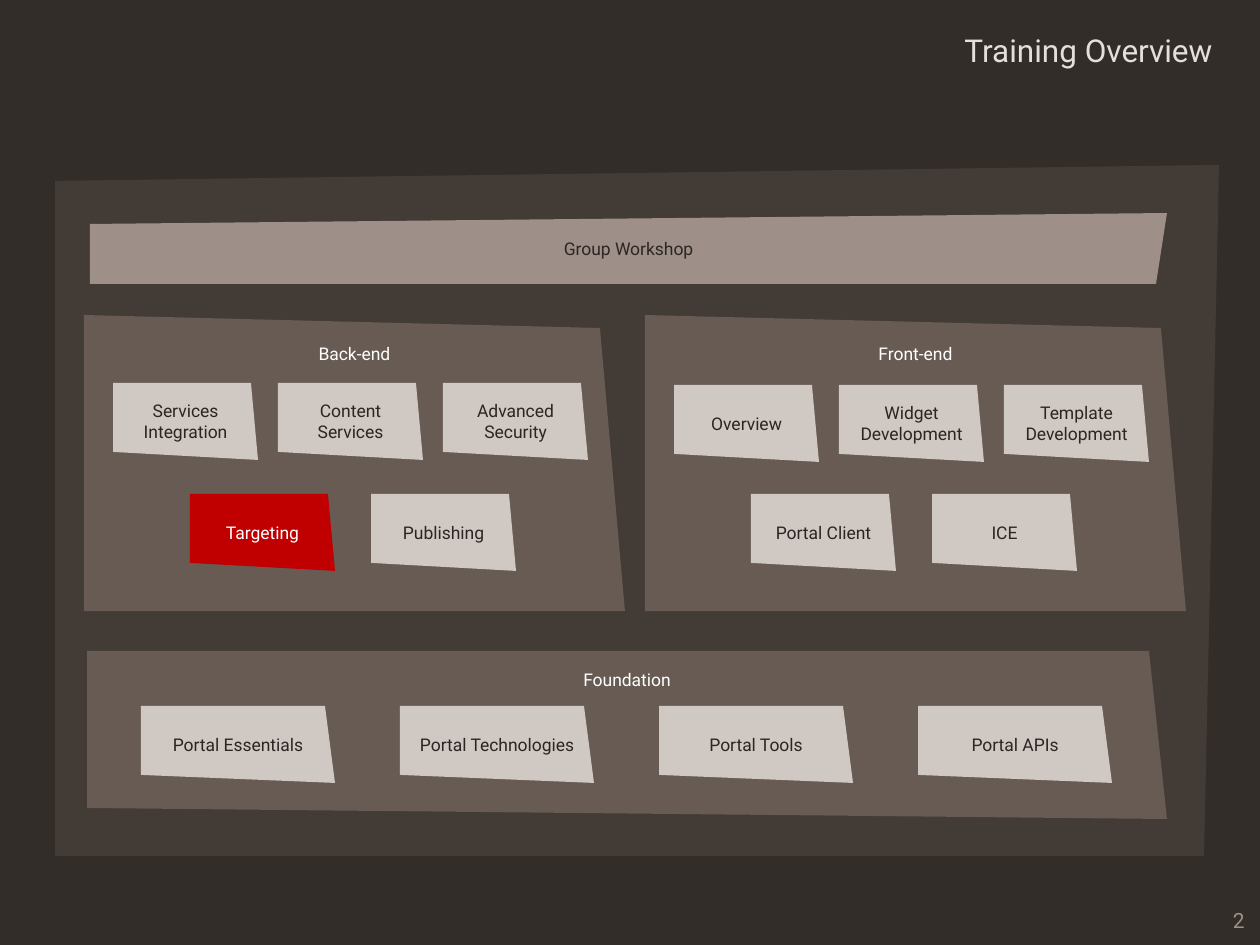
from pptx import Presentation
from pptx.dml.color import RGBColor
from pptx.enum.text import MSO_ANCHOR, PP_ALIGN
from pptx.util import Pt

PX = 914400 / 126
TOP, MIDDLE = MSO_ANCHOR.TOP, MSO_ANCHOR.MIDDLE
CENTER, RIGHT = PP_ALIGN.CENTER, PP_ALIGN.RIGHT
DARK, WHITE = "2B2623", "FFFFFF"
BROWN, LIGHT, RED = "675B53", "CFC8C3", "C00000"

prs = Presentation()
prs.slide_width, prs.slide_height = round(1260 * PX), round(945 * PX)
slide = prs.slides.add_slide(prs.slide_layouts[6])
back = slide.background.fill
back.solid()
back.fore_color.rgb = RGBColor.from_string("332D2A")


def write(shape, text, size, color, align, anchor, wrap=False):
    """Fill the shape's text frame, one paragraph per line of text."""
    frame = shape.text_frame
    frame.word_wrap = wrap
    frame.vertical_anchor = anchor
    for i, line in enumerate(text.split("\n")):
        para = frame.add_paragraph() if i else frame.paragraphs[0]
        para.alignment = align
        run = para.add_run()
        run.text = line
        run.font.name = "Roboto"
        run.font.size = Pt(size)
        run.font.color.rgb = RGBColor.from_string(color)


def draw(points, fill):
    """Draw a closed outline through points given in px."""
    pen = slide.shapes.build_freeform(*points[0], scale=PX)
    pen.add_line_segments(points[1:], close=True)
    shape = pen.convert_to_shape()
    shape.shadow.inherit = False
    shape.fill.solid()
    shape.fill.fore_color.rgb = RGBColor.from_string(fill)
    shape.line.fill.background()
    return shape


# Title and page number
for text, size, color, anchor, box in (
    ("Training Overview", 18, "E5DEDC", TOP, (362, 25, 863, 50)),
    ("2", 12, "9E9088", MIDDLE, (1026, 903, 231, 35)),
):
    label = slide.shapes.add_textbox(*(round(n * PX) for n in box))
    write(label, text, size, color, RIGHT, anchor, True)

# Frame and headed panels
draw([(55, 181), (1219, 165), (1204, 856), (55, 856)], "433B36")

panels = [("Foundation", 18, [(87, 651), (1149, 651), (1167, 819), (87, 808)])]
for name, x in (("Front-end", 645), ("Back-end", 84)):
    panels.append((name, 28, [(x, 315), (x + 516, 328), (x + 541, 611), (x, 611)]))
for name, inset, points in panels:
    panel = draw(points, BROWN)
    panel.text_frame.margin_top = round(inset * PX)
    write(panel, name, 10, WHITE, CENTER, TOP)

# Rows of course tiles: left, top, step, tile width, names
rows = (
    (113, 383, 165, 145,
     ("Services\nIntegration", "Content\nServices", "Advanced\nSecurity")),
    (190, 494, 181, 145, ("Targeting", "Publishing")),
    (141, 706, 259, 194,
     ("Portal Essentials", "Portal Technologies", "Portal Tools", "Portal APIs")),
    (674, 385, 165, 145,
     ("Overview", "Widget\nDevelopment", "Template\nDevelopment")),
    (751, 494, 181, 145, ("Portal Client", "ICE")),
)
for left, y, step, wide, names in rows:
    for i, name in enumerate(names):
        x = left + i * step
        fill, ink = (RED, WHITE) if name == "Targeting" else (LIGHT, DARK)
        edge = x + round(wide * 0.95)
        tile = draw([(x, y), (edge, y), (x + wide, y + 77), (x, y + 69)], fill)
        write(tile, name, 10, ink, CENTER, MIDDLE)

# Workshop banner
banner = draw([(90, 224), (1167, 213), (1156, 284), (90, 284)], "9E9088")
write(banner, "Group Workshop", 10, DARK, CENTER, MIDDLE)

prs.save("out.pptx")
